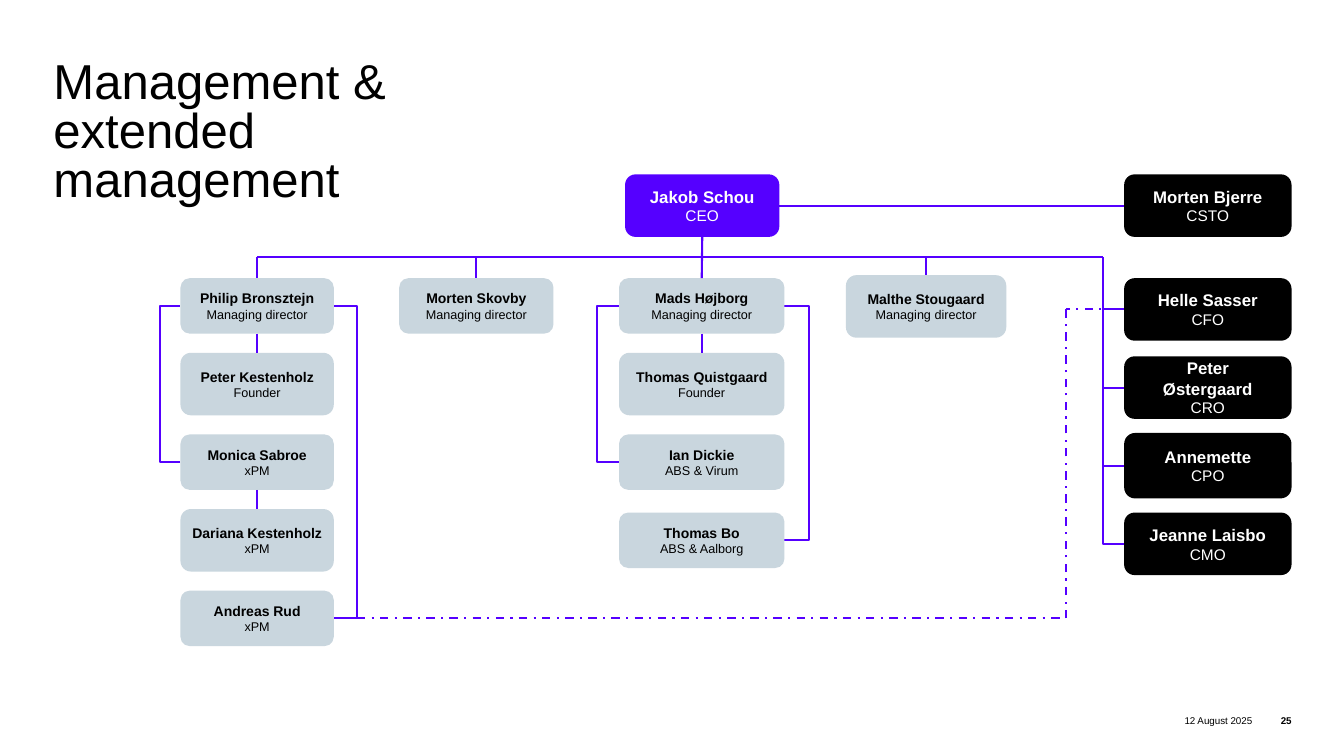
import pptx
import pptx.util
import pptx.dml.color
import pptx.enum.dml
import pptx.enum.shapes
import pptx.enum.text
import pptx.oxml

In = pptx.util.Inches
Pt = pptx.util.Pt
SHAPE = pptx.enum.shapes.MSO_SHAPE
ALIGN = pptx.enum.text.PP_ALIGN
ANCHOR = pptx.enum.text.MSO_ANCHOR

VIOLET, GREY, BLACK, WHITE = "5500FF", "C9D6DE", "000000", "FFFFFF"
TOP_ROW, TEAM_ROW, CHIEF_ROW, ROW_STEP = 2.04, 3.035, 3.07, 0.775
TRUNK_Y, CHIEF_X, DASH_X = 2.55, 10.94, 10.57
LOW, TALL = 0.55, 0.62

TEXTS = [
    ("12 August 2025", 11.22, 7.04, 1.2, 0.22, 7, False, ALIGN.RIGHT, ANCHOR.MIDDLE, 1.0),
    ("25", 12.42, 7.04, 0.39, 0.22, 7, True, ALIGN.RIGHT, ANCHOR.MIDDLE, 1.0),
    ("Management & extended management", 0.53, 0.59, 4.49, 1.62, 35, False, ALIGN.LEFT, ANCHOR.TOP, 0.84),
]

# left, width, centre of first row, fill, text colour, name size, role size, side inset, people
COLUMNS = [
    (6.2, 1.53, TOP_ROW, VIOLET, WHITE, 12, 11, 0.16, [("Jakob Schou", "CEO", TALL)]),
    (11.15, 1.66, TOP_ROW, BLACK, WHITE, 12, 11, 0.16, [("Morten Bjerre", "CSTO", TALL)]),
    (11.15, 1.66, CHIEF_ROW, BLACK, WHITE, 12, 11, 0.16, [
        ("Helle Sasser", "CFO", TALL), ("Peter Østergaard", "CRO", TALL),
        ("Annemette", "CPO", 0.65), ("Jeanne Laisbo", "CMO", TALL)]),
    (1.79, 1.52, TEAM_ROW, GREY, BLACK, 10, 9, 0.04, [
        ("Philip Bronsztejn", "Managing director", LOW), ("Peter Kestenholz", "Founder", TALL),
        ("Monica Sabroe", "xPM", LOW), ("Dariana Kestenholz", "xPM", TALL), ("Andreas Rud", "xPM", LOW)]),
    (3.96, 1.53, TEAM_ROW, GREY, BLACK, 10, 9, 0.16, [("Morten Skovby", "Managing director", LOW)]),
    (6.14, 1.64, TEAM_ROW, GREY, BLACK, 10, 9, 0.08, [
        ("Mads Højborg", "Managing director", LOW), ("Thomas Quistgaard", "Founder", TALL),
        ("Ian Dickie", "ABS & Virum", LOW), ("Thomas Bo", "ABS & Aalborg", LOW)]),
    (8.39, 1.59, 3.04, GREY, BLACK, 10, 9, 0.16, [("Malthe Stougaard", "Managing director", TALL)]),
]

BRACKETS = [
    (SHAPE.LEFT_BRACKET, CHIEF_X, 0.21, CHIEF_ROW, 3),
    (SHAPE.LEFT_BRACKET, 5.92, 0.22, TEAM_ROW, 2),
    (SHAPE.LEFT_BRACKET, 1.59, 0.2, TEAM_ROW, 2),
    (SHAPE.RIGHT_BRACKET, 3.31, 0.23, TEAM_ROW, 4),
    (SHAPE.RIGHT_BRACKET, 7.78, 0.24, TEAM_ROW, 3),
]

JOINS = [
    ("Jakob Schou", 2, "Mads Højborg", 0), ("Morten Bjerre", 1, "Jakob Schou", 3),
    ("Philip Bronsztejn", 2, "Peter Kestenholz", 0), ("Monica Sabroe", 2, "Dariana Kestenholz", 0),
    ("Mads Højborg", 2, "Thomas Quistgaard", 0),
]
DROPS = ["Philip Bronsztejn", "Morten Skovby", "Malthe Stougaard"]
STUBS = ["Peter Østergaard", "Annemette"]
DASH_Y = TEAM_ROW + 4 * ROW_STEP
DASHES = [(3.54, DASH_Y, DASH_X, DASH_Y), (DASH_X, DASH_Y, DASH_X, CHIEF_ROW),
          (11.07, CHIEF_ROW, DASH_X, CHIEF_ROW)]
TRUNKS = [(CHIEF_X, TRUNK_Y, 2.55, TRUNK_Y), (CHIEF_X, TRUNK_Y, CHIEF_X, CHIEF_ROW)]


def rgb(code):
    return pptx.dml.color.RGBColor.from_string(code)


def write(p, text, size, bold, color, align):
    p.text, p.alignment = text, align
    p.font.name, p.font.size, p.font.bold = "Arial", Pt(size), bold
    p.font.color.rgb = rgb(color)


def frame(s, side, edge, anchor):
    tf = s.text_frame
    tf.word_wrap, tf.vertical_anchor = True, anchor
    tf.margin_left = tf.margin_right = In(side)
    tf.margin_top = tf.margin_bottom = In(edge)
    return tf


def add_text(slide, text, x, y, w, h, size, bold, align, anchor, spacing):
    s = slide.shapes.add_textbox(In(x), In(y), In(w), In(h))
    p = frame(s, 0, 0, anchor).paragraphs[0]
    write(p, text, size, bold, BLACK, align)
    p.line_spacing = spacing


def add_column(slide, x, w, first, fill, color, name_size, role_size, side, people):
    cards = {}
    for row, (name, role, h) in enumerate(people):
        y = first + row * ROW_STEP - h / 2
        s = slide.shapes.add_shape(SHAPE.ROUNDED_RECTANGLE, In(x), In(y), In(w), In(h))
        s.shadow.inherit = False
        s.fill.solid()
        s.fill.fore_color.rgb = rgb(fill)
        s.line.fill.background()
        tf = frame(s, side, 0.12, ANCHOR.MIDDLE)
        write(tf.paragraphs[0], name, name_size, True, color, ALIGN.CENTER)
        write(tf.add_paragraph(), role, role_size, False, color, ALIGN.CENTER)
        cards[name] = s
    return cards


def add_bracket(slide, kind, x, w, first, rows):
    s = slide.shapes.add_shape(kind, In(x), In(first), In(w), In(rows * ROW_STEP))
    s.adjustments[0] = 0
    s.shadow.inherit = False
    s.fill.background()
    s.line.color.rgb, s.line.width = rgb(VIOLET), Pt(1.5)


def add_line(slide, x1=0, y1=0, x2=0, y2=0):
    c = slide.shapes.add_connector(pptx.enum.shapes.MSO_CONNECTOR.STRAIGHT, In(x1), In(y1), In(x2), In(y2))
    c.line.color.rgb, c.line.width = rgb(VIOLET), Pt(1.5)
    c._element.spPr.append(pptx.oxml.parse_xml(
        '<a:effectLst xmlns:a="http://schemas.openxmlformats.org/drawingml/2006/main"/>'))
    return c


def main():
    """Build the management organisation chart."""
    prs = pptx.Presentation()
    prs.slide_width, prs.slide_height = In(13.33), In(7.5)
    slide = prs.slides.add_slide(prs.slide_layouts[6])
    for text in TEXTS:
        add_text(slide, *text)
    for bracket in BRACKETS:
        add_bracket(slide, *bracket)
    cards = {}
    for column in COLUMNS:
        cards.update(add_column(slide, *column))
    for start, start_side, end, end_side in JOINS:
        c = add_line(slide)
        c.begin_connect(cards[start], start_side)
        c.end_connect(cards[end], end_side)
    for name in DROPS:
        s = cards[name]
        x = (s.left + s.width / 2) / In(1)
        add_line(slide, x, TRUNK_Y, x, TRUNK_Y).end_connect(s, 0)
    for name in STUBS:
        s = cards[name]
        y = (s.top + s.height / 2) / In(1)
        add_line(slide, CHIEF_X, y, CHIEF_X, y).end_connect(s, 1)
    for ends in TRUNKS:
        add_line(slide, *ends)
    for ends in DASHES:
        add_line(slide, *ends).line.dash_style = pptx.enum.dml.MSO_LINE.DASH_DOT
    prs.save("out.pptx")


if __name__ == "__main__":
    main()
